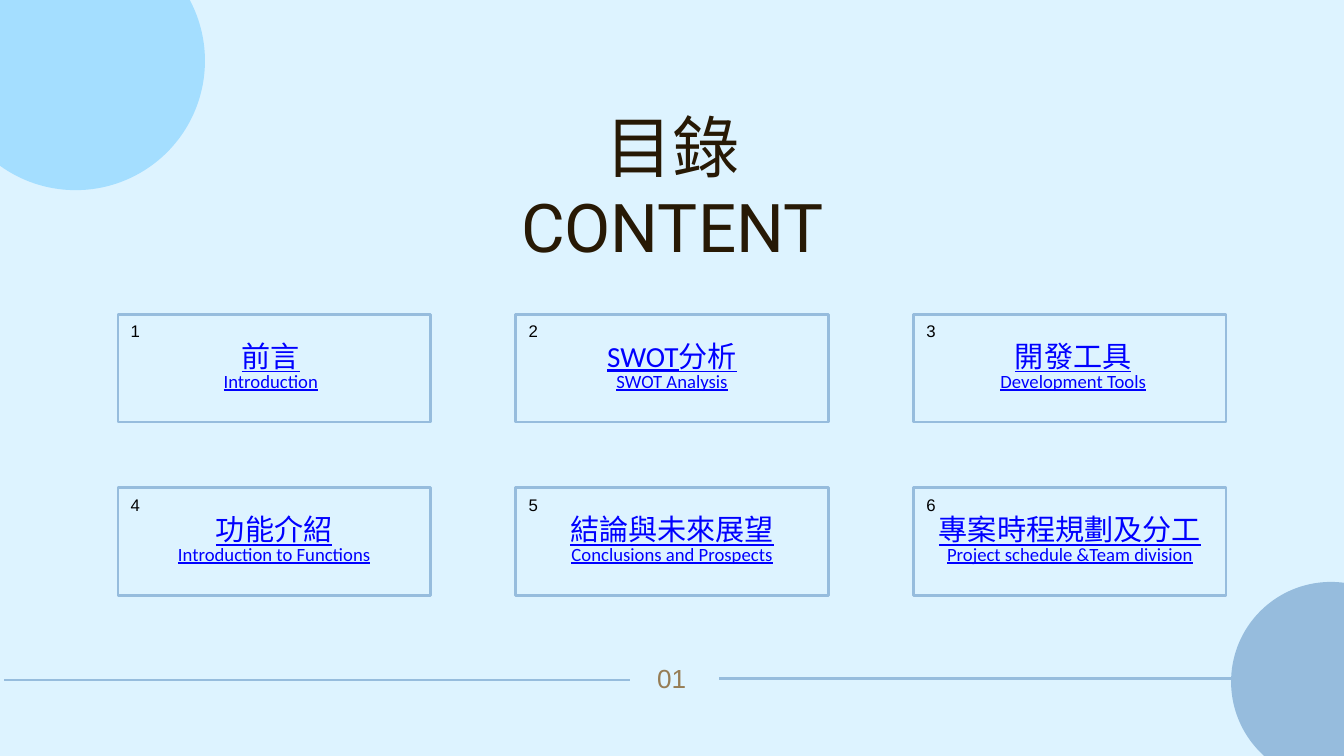
from lxml import etree
from pptx import Presentation
from pptx.dml.color import RGBColor
from pptx.enum.shapes import MSO_CONNECTOR, MSO_SHAPE
from pptx.enum.text import MSO_ANCHOR, MSO_AUTO_SIZE, PP_ALIGN
from pptx.oxml.ns import qn
from pptx.util import Inches, Pt

LINE = MSO_CONNECTOR.STRAIGHT
OVAL, RECT = MSO_SHAPE.OVAL, MSO_SHAPE.RECTANGLE
TOP, CENTER, NONE = MSO_ANCHOR.TOP, PP_ALIGN.CENTER, MSO_AUTO_SIZE.NONE

HUES = {"back": "DDF3FF", "sky": "A4DEFF", "steel": "96BCDD",
        "dark": "271905", "tan": "967D55", "link": "0000FF", "black": "000000"}

TITLE, SUB, PAGE = "目錄", "CONTENT", "01"
ROWS = [
    (4.68, 5.97, [("前言", "Introduction", 3.18),
                  ("SWOT分析", "SWOT Analysis", 3.18),
                  ("開發工具", "Development Tools", 3.18)]),
    (7.26, 5.92, [("功能介紹", "Introduction to Functions", 3.9),
                  ("結論與未來展望", "Conclusions and Prospects", 3.18),
                  ("專案時程規劃及分工", "Project schedule &Team division", 3.99)]),
]
RULES = [(10.7, 20, 10.1), (0.06, 9.37, 10.12)]
DISCS = [(18.32, 8.66, 2.97, "steel"), (-0.8, -1.02, 3.85, "sky")]
MID, STEP, WIDE, HIGH = 10, 5.92, 4.65, 1.6


def hue(name):
    return RGBColor.from_string(HUES[name])


def place(box, *spot):
    box.left, box.top, box.width, box.height = map(Inches, spot)


def write(box, lines, font, color, under=None):
    frame = box.text_frame
    frame.text = "\n".join(text for text, size, lead in lines)
    frame.word_wrap = True
    frame.auto_size = NONE
    frame.vertical_anchor = TOP
    frame.margin_left = frame.margin_right = 0
    frame.margin_top = frame.margin_bottom = 0
    for para, (text, size, lead) in zip(frame.paragraphs, lines):
        para.alignment = CENTER
        para.line_spacing = Pt(lead)
        para.space_before = Pt(0)
        for run in para.runs:
            run.font.size = Pt(size)
            run.font.name = font
            run.font.color.rgb = hue(color)
            run.font.underline = under


def label(spot, *style):
    write(slide.shapes.add_textbox(*map(Inches, spot)), *style)


def shape(kind, *spot):
    item = slide.shapes.add_shape(kind, *map(Inches, spot))
    item.shadow.inherit = False
    return item


deck = Presentation()
deck.slide_width, deck.slide_height = Inches(20), Inches(11.25)
slide = deck.slides.add_slide(deck.slide_layouts[5])
slide.background.fill.solid()
slide.background.fill.fore_color.rgb = hue("back")

for start, end, y in RULES:
    rule = slide.shapes.add_connector(LINE, *map(Inches, (start, y, end, y)))
    rule.line.color.rgb = hue("steel")
    rule.line.width = Pt(3)
    etree.SubElement(rule._element.spPr, qn("a:effectLst"))

for x, y, size, color in DISCS:
    disc = shape(OVAL, x, y, size, size)
    disc.fill.solid()
    disc.fill.fore_color.rgb = hue(color)
    disc.line.fill.background()

place(slide.shapes.title, 4.72, 1.57, 10.57, 1.27)
write(slide.shapes.title, [(TITLE, 72, 86.4)], "Calibri", "dark")
label((4.72, 2.76, 10.57, 1.27), [(SUB, 72, 86.4)], "Roboto", "dark")
label((9.07, 9.94, 1.85, 0.42), [(PAGE, 28, 28)], "Arial", "tan")

for row, (y, gap, topics) in enumerate(ROWS):
    for col, (name, gloss, width) in enumerate(topics):
        left = MID + (col - 1) * STEP - WIDE / 2
        card = shape(RECT, left, y, WIDE, HIGH)
        card.fill.background()
        card.line.color.rgb = hue("steel")
        card.line.width = Pt(3)
        label((MID + (col - 1) * gap - width / 2, y + 0.44, width, 0.74),
              [(name, 31.2, 31.2), (gloss, 20, 20)], "Calibri", "link", True)
        number = str(row * len(topics) + col + 1)
        label((left + 0.19, y + 0.05, 0.14, 0.36), [(number, 18, 25.2)],
              "Arial", "black")

deck.save("out.pptx")
